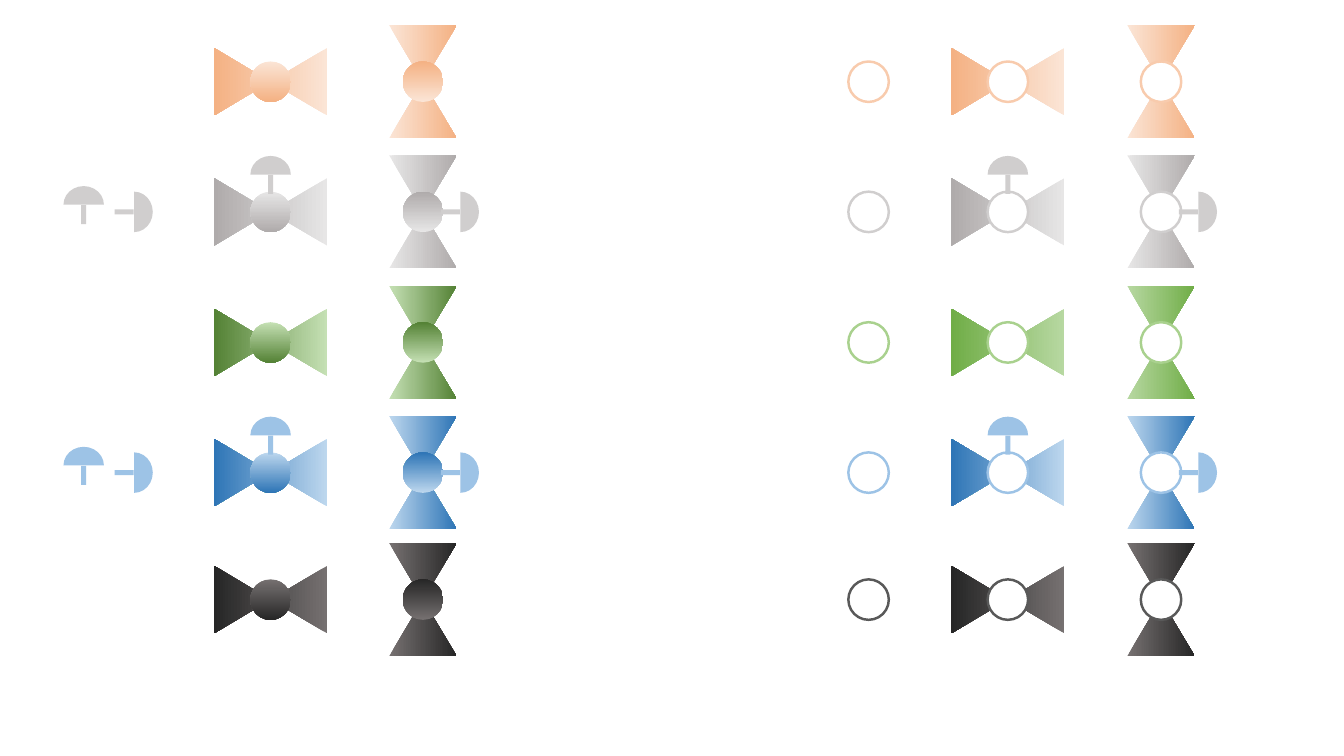
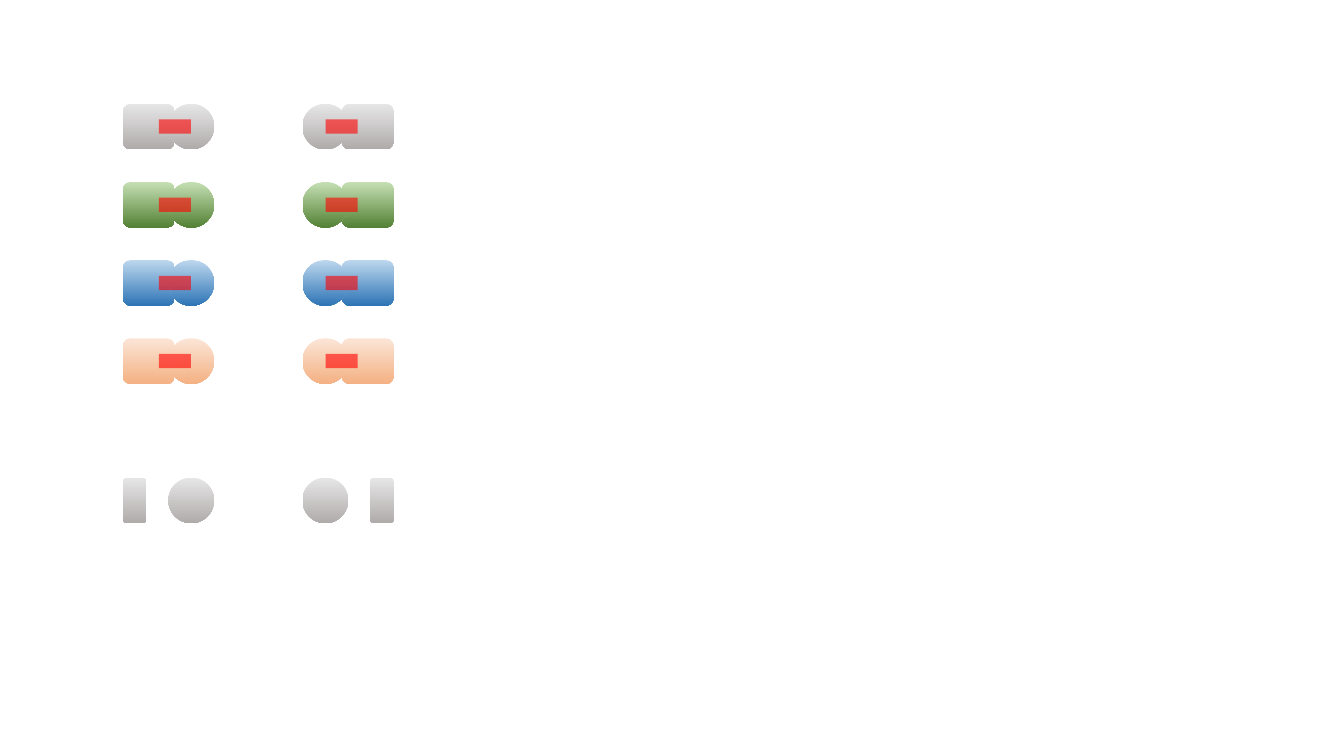
from lxml import etree
from pptx import Presentation
from pptx.dml.color import RGBColor
from pptx.enum.shapes import MSO_SHAPE
from pptx.oxml.ns import qn
from pptx.util import Cm, Pt

COLLATE = MSO_SHAPE.FLOWCHART_COLLATE
ELLIPSE = MSO_SHAPE.OVAL
PIE = MSO_SHAPE.PIE
RECTANGLE = MSO_SHAPE.RECTANGLE
ROUNDED = MSO_SHAPE.ROUNDED_RECTANGLE

COLORS = {
    "white": "FFFFFF",
    "red": "FF0000",
    "orange": {"light": "FBE5D6", "dark": "F4B183", "accent": "F8CBAD"},
    "gray": {"light": "E7E6E6", "dark": "AFABAB", "accent": "D0CECE"},
    "green": {"light": "C5E0B4", "dark": "548235", "accent": "A9D18E"},
    "bright green": {"light": "B7D8A1", "dark": "70AD47", "accent": "A9D18E"},
    "blue": {"light": "BDD7EE", "dark": "2E75B6", "accent": "9DC3E6"},
    "black": {"light": "767171", "dark": "262626", "accent": "595959"},
}

VALVE_ROWS = [
    ("orange", "orange", 2.06, False),
    ("gray", "gray", 5.34, True),
    ("green", "bright green", 8.63, False),
    ("blue", "blue", 11.91, True),
    ("black", "black", 15.11, False),
]
SOLID_COLUMNS = (6.82, 10.66)
HOLLOW_COLUMNS = (25.4, 29.26)
RING_COLUMN = 21.89
LOOSE_ACTUATORS = [(2.11, 0.76, False), (2.44, 0, True)]

VALVE_SIZE = (1.7, 2.85)
BALL_SIZE = (1.02, 1.02)
DOME_SIZE, DOME_OFFSET = (1.02, 0.94), 0.94
STEM_SIZE, STEM_OFFSET = (0.13, 0.48), 0.69

PUMP_COLORS = ["gray", "green", "blue", "orange"]
PUMP_TOP, PUMP_STEP, PARTS_ROW = 3.19, 1.97, 12.61
PUMP_LEFT, MIRROR_AXIS = 3.1, 6.51
PUMP_HEIGHT, BODY_WIDTH, NARROW_WIDTH = 1.15, 1.3, 0.59
DISC_CENTER, WINDOW_CENTER = 4.82, 4.41
WINDOW_SIZE = (0.81, 0.36)

DOWN, UP, RIGHT = 270, 90, 0


def add_centered(shapes, kind, x, y, size, rotation=0):
    width, height = size
    shape = shapes.add_shape(kind, Cm(x - width / 2), Cm(y - height / 2), Cm(width), Cm(height))
    shape.rotation = rotation
    shape.shadow.inherit = False
    shape.line.fill.background()
    return shape


def fill_solid(shape, color, opacity=100):
    shape.fill.solid()
    shape.fill.fore_color.rgb = RGBColor.from_string(color)
    if opacity < 100:
        node = shape.fill._xPr.find(qn("a:solidFill"))[0]
        etree.SubElement(node, qn("a:alpha")).set("val", str(opacity * 1000))


def fill_gradient(shape, palette, angle):
    shape.fill.gradient()
    shape.fill.gradient_angle = angle
    for stop, tone in zip(shape.fill.gradient_stops, ("light", "dark")):
        stop.color.rgb = RGBColor.from_string(palette[tone])


def add_ring(shapes, x, y, palette):
    ring = add_centered(shapes, ELLIPSE, x, y, BALL_SIZE)
    fill_solid(ring, COLORS["white"])
    ring.line.color.rgb = RGBColor.from_string(palette["accent"])
    ring.line.width = Pt(1.75)


def add_actuator(shapes, x, y, palette, sideways):
    across, up = (1, 0) if sideways else (0, -1)
    parts = [(RECTANGLE, STEM_SIZE, STEM_OFFSET), (PIE, DOME_SIZE, DOME_OFFSET)]
    for kind, size, offset in parts:
        part = add_centered(shapes, kind, x + across * offset, y + up * offset,
                            size, 90 if sideways else 0)
        fill_solid(part, palette["accent"])
        if kind == PIE:
            part.adjustments[0] = 108
            part.adjustments[1] = 0


def add_valve(slide, x, y, palette, vertical, hollow, actuated):
    shapes = slide.shapes.add_group_shape().shapes
    body = add_centered(shapes, COLLATE, x, y, VALVE_SIZE, 0 if vertical else 90)
    fill_gradient(body, palette, RIGHT if vertical else DOWN)
    if hollow:
        add_ring(shapes, x, y, palette)
    else:
        ball = add_centered(shapes, ELLIPSE, x, y, BALL_SIZE)
        fill_gradient(ball, palette, UP if vertical else DOWN)
    if actuated:
        add_actuator(shapes, x, y, palette, vertical)


def add_pump(slide, y, palette, body_width, mirrored, window):
    shapes = slide.shapes.add_group_shape().shapes

    def place(x):
        return 2 * MIRROR_AXIS - x if mirrored else x

    parts = [(ROUNDED, PUMP_LEFT + body_width / 2, body_width),
             (ELLIPSE, DISC_CENTER, PUMP_HEIGHT)]
    for kind, x, width in parts:
        part = add_centered(shapes, kind, place(x), y, (width, PUMP_HEIGHT))
        fill_gradient(part, palette, DOWN)
    if window:
        pane = add_centered(shapes, RECTANGLE, place(WINDOW_CENTER), y, WINDOW_SIZE)
        fill_solid(pane, COLORS["red"], 60)


def build_valves(slide):
    for solid_name, hollow_name, y, actuated in VALVE_ROWS:
        solid, outlined = COLORS[solid_name], COLORS[hollow_name]
        for vertical in (False, True):
            add_valve(slide, SOLID_COLUMNS[vertical], y, solid, vertical, False, actuated)
            add_valve(slide, HOLLOW_COLUMNS[vertical], y, outlined, vertical, True, actuated)
        add_ring(slide.shapes, RING_COLUMN, y, outlined)
        if actuated:
            for x, drop, sideways in LOOSE_ACTUATORS:
                group = slide.shapes.add_group_shape()
                add_actuator(group.shapes, x, y + drop, solid, sideways)


def build_pumps(slide):
    for mirrored in (False, True):
        for row, name in enumerate(PUMP_COLORS):
            y = PUMP_TOP + row * PUMP_STEP
            add_pump(slide, y, COLORS[name], BODY_WIDTH, mirrored, True)
        add_pump(slide, PARTS_ROW, COLORS["gray"], NARROW_WIDTH, mirrored, False)


def main():
    presentation = Presentation()
    presentation.slide_width = Cm(33.87)
    presentation.slide_height = Cm(19.05)
    blank = presentation.slide_layouts[6]
    for build in (build_valves, build_pumps):
        build(presentation.slides.add_slide(blank))
    presentation.save("out.pptx")


if __name__ == "__main__":
    main()
